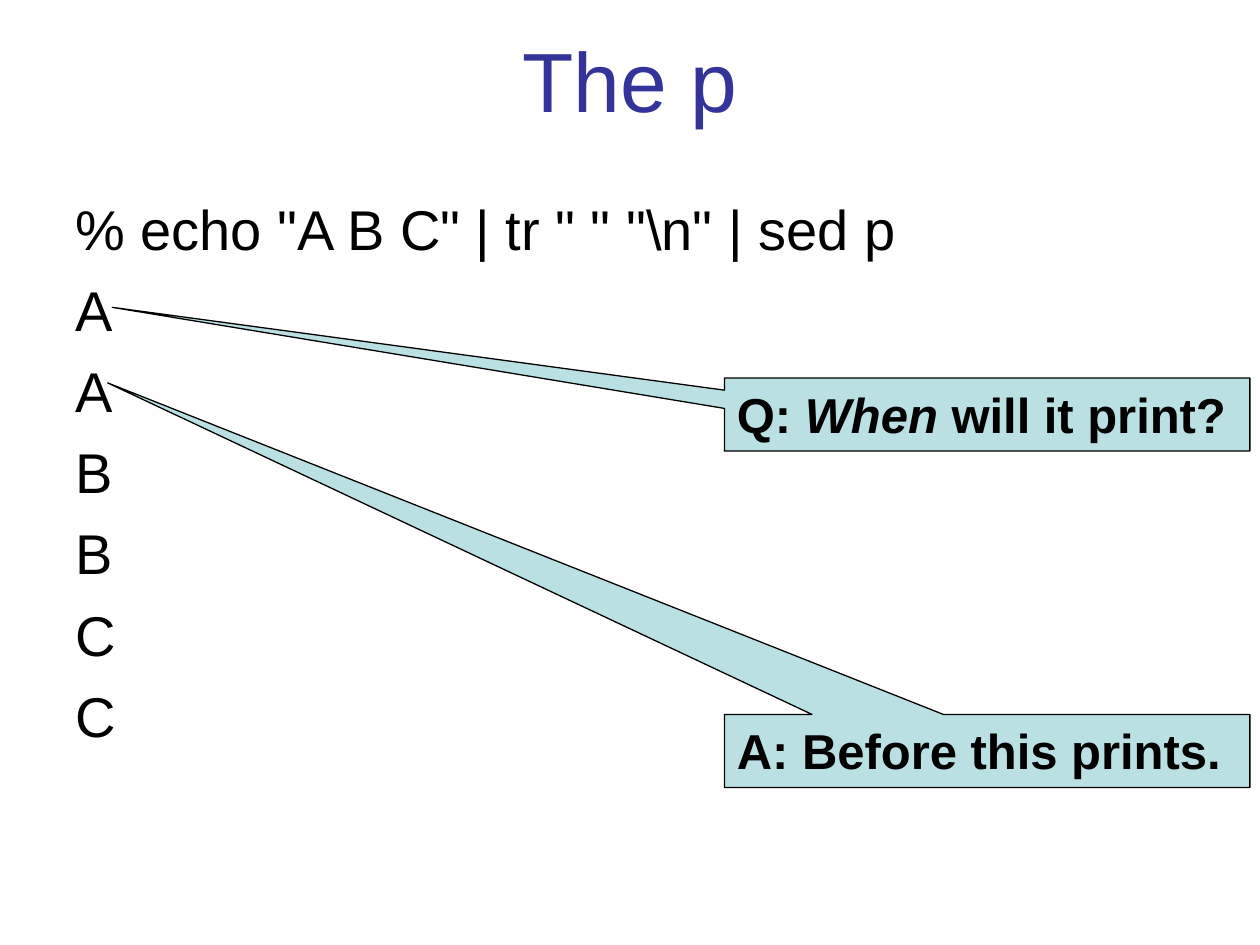
from pptx import Presentation
from pptx.dml.color import RGBColor
from pptx.enum.shapes import MSO_SHAPE
from pptx.enum.text import MSO_ANCHOR, PP_ALIGN
from pptx.util import Inches, Pt

BLACK = RGBColor(0x00, 0x00, 0x00)
INDIGO = RGBColor(0x33, 0x33, 0x99)
AQUA = RGBColor(0xBB, 0xE0, 0xE3)
WHITE = RGBColor(0xFF, 0xFF, 0xFF)

# Content
TITLE = "The p"
COMMAND = '% echo "A B C" | tr " " "\\n" | sed p'
OUTPUT = [letter for letter in "ABC" for _ in range(2)]
# Callouts: top, pointer adjustments, (text, italic) runs
CALLOUTS = [
    (3.0, (-1.665, -1.467),
     [("Q: ", False), ("When", True), (" will it print?", False)]),
    (5.67, (-1.674, -5.038), [("A: Before this prints.", False)]),
]

TITLE_FONT = {"name": "Arial", "size": Pt(48)}
BODY_FONT = {"name": "Arial", "size": Pt(32)}
CALLOUT_FONT = {"name": "Arial", "size": Pt(28), "bold": True}


def add_run(p, text, color, **font):
    r = p.add_run()
    r.text = text
    r.font.color.rgb = color
    for key, value in font.items():
        setattr(r.font, key, value)


def add_text_box(s, *box):
    tf = s.shapes.add_textbox(*map(Inches, box)).text_frame
    tf.word_wrap = True
    return tf


prs = Presentation()
prs.slide_width, prs.slide_height = Inches(10), Inches(7.5)
s = prs.slides.add_slide(prs.slide_layouts[6])
s.background.fill.solid()
s.background.fill.fore_color.rgb = WHITE

# Title
tf = add_text_box(s, 0.5, 0, 9, 1.25)
tf.vertical_anchor = MSO_ANCHOR.MIDDLE
p = tf.paragraphs[0]
p.alignment = PP_ALIGN.CENTER
add_run(p, TITLE, INDIGO, **TITLE_FONT)

# Command and its output
tf = add_text_box(s, 0.5, 1.45, 9, 4.95)
tf.margin_top = Inches(0.09)
for i, line in enumerate([COMMAND] + OUTPUT):
    p = tf.add_paragraph() if i else tf.paragraphs[0]
    p.space_before = Pt(8 if i else 0)
    add_run(p, line, BLACK, **BODY_FONT)

# Callouts
for top, adjustments, runs in CALLOUTS:
    sp = s.shapes.add_shape(MSO_SHAPE.RECTANGULAR_CALLOUT, Inches(5.75),
                            Inches(top), Inches(4.17), Inches(0.58))
    for i, value in enumerate(adjustments):
        sp.adjustments[i] = value
    sp.shadow.inherit = False
    sp.fill.solid()
    sp.fill.fore_color.rgb = AQUA
    sp.line.color.rgb = BLACK
    sp.line.width = Pt(0.75)
    tf = sp.text_frame
    tf.word_wrap = True
    tf.vertical_anchor = MSO_ANCHOR.TOP
    p = tf.paragraphs[0]
    p.alignment = PP_ALIGN.LEFT
    for text, italic in runs:
        add_run(p, text, BLACK, italic=italic, **CALLOUT_FONT)

prs.save("out.pptx")
